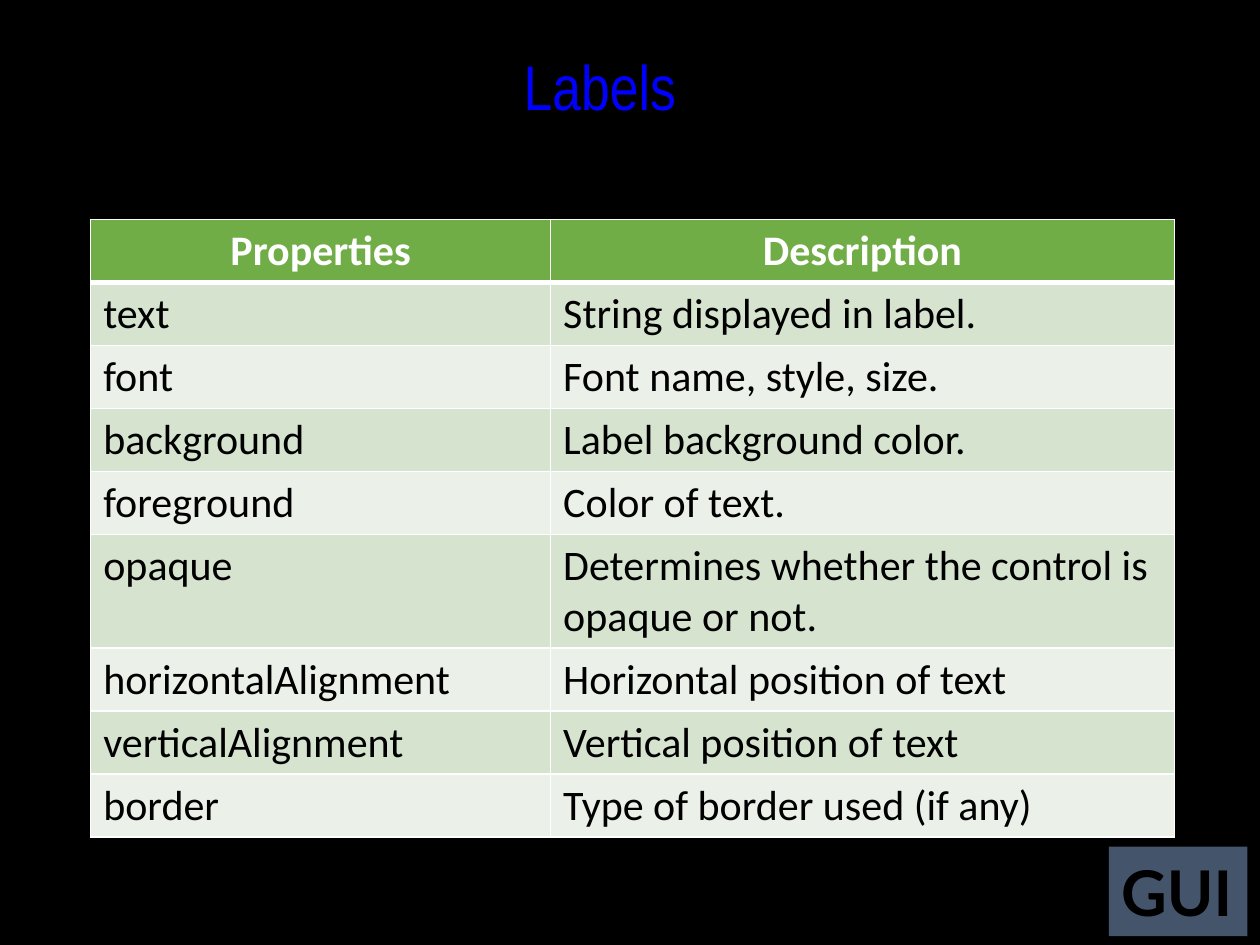
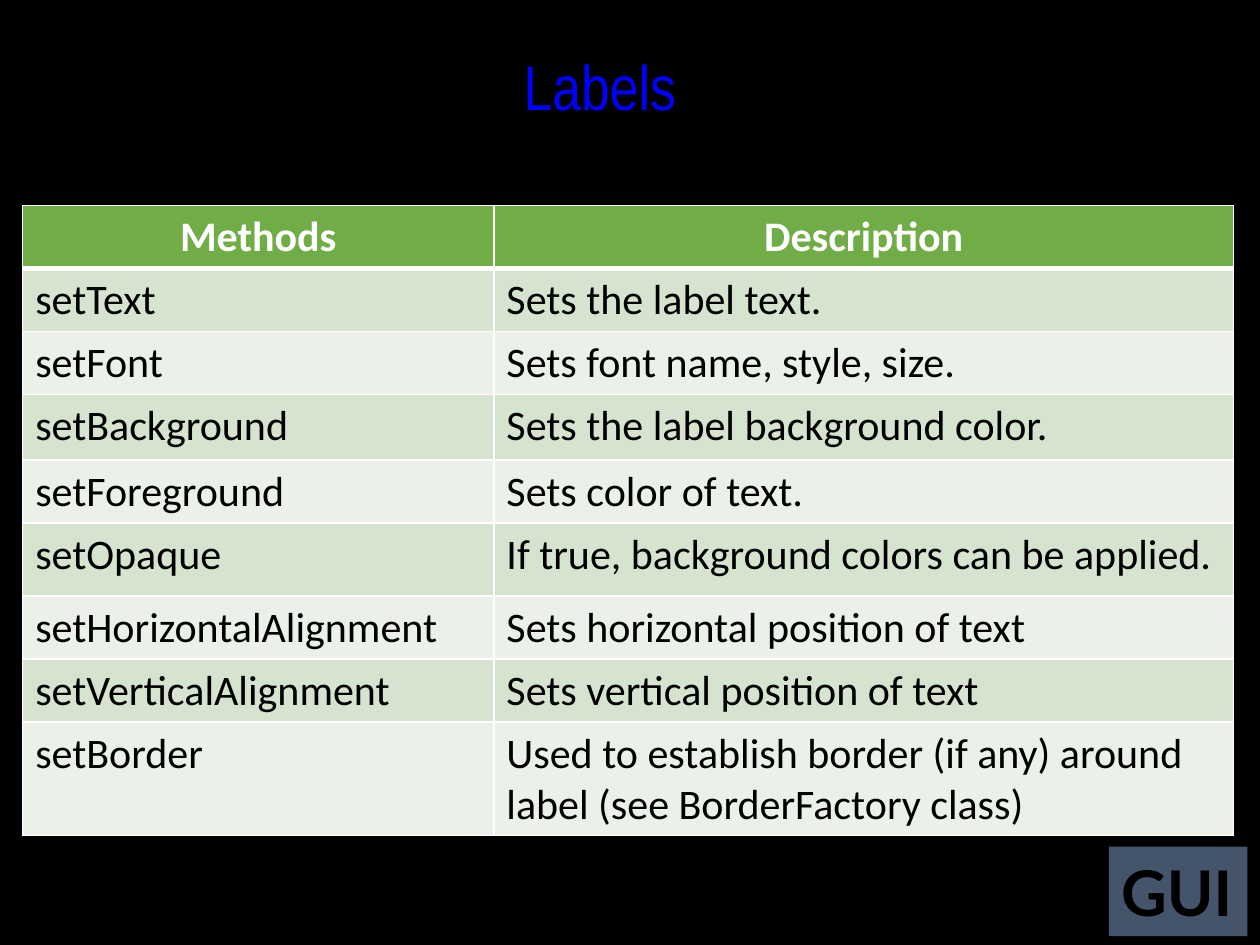
"""Build two slides that list the properties and methods of labels."""
import lxml.etree
import pptx
import pptx.dml.color
import pptx.enum.shapes
import pptx.enum.text
import pptx.oxml.ns
import pptx.util

RGB = pptx.dml.color.RGBColor
ALIGN = pptx.enum.text.PP_ALIGN
BLACK = RGB(0x00, 0x00, 0x00)
WHITE = RGB(0xFF, 0xFF, 0xFF)
BLUE = RGB(0x00, 0x00, 0xFF)
YELLOW = RGB(0xFF, 0xFF, 0x00)
SLATE = RGB(0x44, 0x54, 0x6A)
GREEN = RGB(0x70, 0xAD, 0x47)
BANDS = (RGB(0xD5, 0xE3, 0xCF), RGB(0xEB, 0xF1, 0xE9))

WIDTH, HEIGHT = pptx.util.Inches(10), pptx.util.Inches(7.5)
GRID_COLUMNS, GRID_ROWS = 100, 75
TITLE_BOX = (10, 3.3, 75.2, 11.6)
BADGE_BOX = (88, 67.2, 11, 7.1)
THIN, THICK = 1, 3

PROPERTIES = [
    ("Properties", "Description"),
    ("text", "String displayed in label."),
    ("font", "Font name, style, size."),
    ("background", "Label background color."),
    ("foreground", "Color of text."),
    ("opaque", "Determines whether the control is opaque or not."),
    ("horizontalAlignment", "Horizontal position of text"),
    ("verticalAlignment", "Vertical position of text"),
    ("border", "Type of border used (if any)"),
]
METHODS = [
    ("Methods", "Description"),
    ("setText", "Sets the label text."),
    ("setFont", "Sets font name, style, size."),
    ("setBackground", "Sets the label background color."),
    ("setForeground", "Sets color of text."),
    ("setOpaque", "If true, background colors can be applied."),
    ("setHorizontalAlignment", "Sets horizontal position of text"),
    ("setVerticalAlignment", "Sets vertical position of text"),
    ("setBorder",
     "Used to establish border (if any) around label (see BorderFactory class)"),
]


def across(columns):
    """Convert grid columns to a length."""
    return round(WIDTH * columns / GRID_COLUMNS)


def down(rows):
    """Convert grid rows to a length."""
    return round(HEIGHT * rows / GRID_ROWS)


def place(box):
    """Convert a grid box to left, top, width and height."""
    left, top, width, height = box
    return across(left), down(top), across(width), down(height)


def write(frame, text, font, size, color, bold=False, align=ALIGN.LEFT):
    """Write one formatted paragraph and return its run."""
    frame.text = text
    para = frame.paragraphs[0]
    para.alignment = align
    span = para.runs[0]
    span.font.name = font
    span.font.size = pptx.util.Pt(size)
    span.font.bold = bold
    span.font.color.rgb = color
    return span


def make_line(tag, points, color):
    """Return a solid line element."""
    line = lxml.etree.Element(pptx.oxml.ns.qn(tag), w=str(pptx.util.Pt(points)))
    fill = lxml.etree.SubElement(line, pptx.oxml.ns.qn("a:solidFill"))
    lxml.etree.SubElement(fill, pptx.oxml.ns.qn("a:srgbClr"), val=str(color))
    return line


def add_badge(page, box):
    """Add the topic badge in the corner."""
    badge = page.shapes.add_shape(
        pptx.enum.shapes.MSO_SHAPE.RECTANGLE, *place(box))
    badge.shadow.inherit = False
    badge.fill.solid()
    badge.fill.fore_color.rgb = SLATE
    badge.line.fill.background()
    badge.text_frame.word_wrap = False
    write(badge.text_frame, "GUI", "Lato", 36, BLACK, bold=True)


def add_title(page, box, text):
    """Add the outlined slide title."""
    title = page.shapes.add_textbox(*place(box))
    title.text_frame.word_wrap = False
    span = write(title.text_frame, text, "Arial Narrow", 36, BLUE,
                 align=ALIGN.CENTER)
    outline = make_line("a:ln", 0.75, YELLOW)
    span.font._element.insert(0, outline)


def style_cell(cell, text, row):
    """Write, border and fill one cell according to its row."""
    header = row == 0
    write(cell.text_frame, text, "Calibri", 24, WHITE if header else BLACK,
          bold=header, align=ALIGN.CENTER if header else ALIGN.LEFT)
    edges = {"a:lnL": THIN, "a:lnR": THIN,
             "a:lnT": THICK if row == 1 else THIN,
             "a:lnB": THICK if header else THIN}
    properties = cell._tc.get_or_add_tcPr()
    for tag, points in edges.items():
        properties.append(make_line(tag, points, WHITE))
    cell.fill.solid()
    cell.fill.fore_color.rgb = GREEN if header else BANDS[(row - 1) % 2]


def add_listing(page, corner, entries, widths, heights):
    """Add a two-column table with its top left at the corner."""
    box = (*corner, sum(widths), sum(heights))
    table = page.shapes.add_table(
        len(entries), len(widths), *place(box)).table
    for column, width in zip(table.columns, widths):
        column.width = across(width)
    for row, height in zip(table.rows, heights):
        row.height = down(height)
    for row, entry in enumerate(entries):
        for column, text in enumerate(entry):
            style_cell(table.cell(row, column), text, row)


def add_page(deck, corner, entries, widths, tall_rows, row_height):
    """Add a slide with badge, title and table."""
    page = deck.slides.add_slide(deck.slide_layouts[6])
    add_badge(page, BADGE_BOX)
    add_title(page, TITLE_BOX, "Labels")
    heights = [tall_rows.get(row, row_height) for row in range(len(entries))]
    add_listing(page, corner, entries, widths, heights)


def main():
    """Build and save the deck."""
    deck = pptx.Presentation()
    deck.slide_width, deck.slide_height = WIDTH, HEIGHT
    background = deck.slide_master.background.fill
    background.solid()
    background.fore_color.rgb = BLACK
    add_page(deck, (7.2, 17.4), PROPERTIES, (36.5, 49.5), {5: 9}, 5)
    add_page(deck, (1.8, 16.3), METHODS, (37.4, 58.7),
             {3: 5.2, 5: 5.8, 8: 8.7}, 4.9)
    deck.save("out.pptx")


if __name__ == "__main__":
    main()
